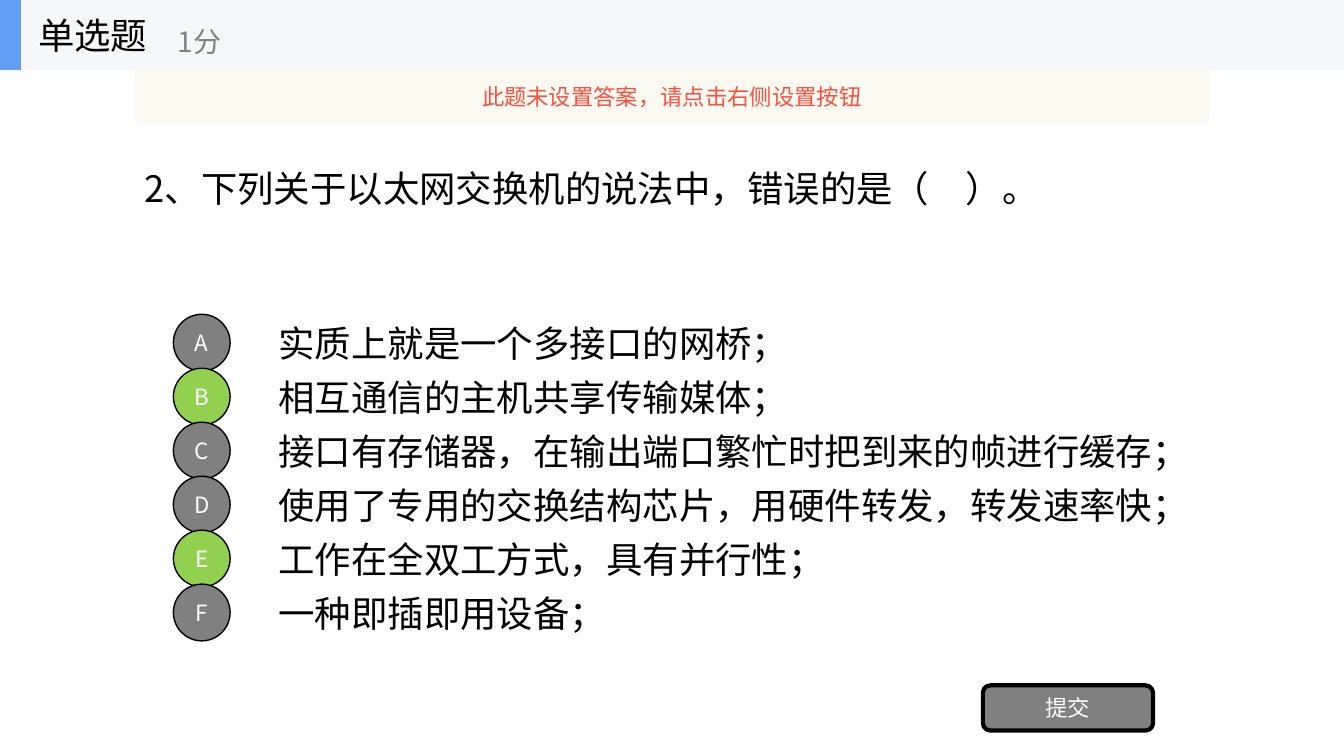
"""Build a quiz slide with six lettered options and a submit button."""
from dataclasses import dataclass

from lxml import etree
from pptx import Presentation
from pptx import util as u
from pptx.dml import color
from pptx.enum import shapes, text
from pptx.oxml import ns

KIND = shapes.MSO_SHAPE
LEFT, MID = text.PP_ALIGN.LEFT, text.PP_ALIGN.CENTER


@dataclass(frozen=True)
class Theme:
    """Colours, font and type sizes of the deck."""
    face: str = "Noto Sans CJK SC"
    ink: str = "000000"
    grey: str = "808080"
    green: str = "92D050"
    white: str = "FFFFFF"
    band: str = "F6F7F8"
    blue: str = "639EF4"
    cream: str = "FBFAEF"
    red: str = "F84F41"
    big: int = 26
    mid: int = 20
    small: int = 16


class Quiz:
    """Hold the theme and the current slide, and draw on it."""

    def __init__(self, deck, theme):
        """Add a blank slide to the deck."""
        self.theme = theme
        self.slide = deck.slides.add_slide(deck.slide_layouts[6])
        self.layer = self.slide.shapes

    def group(self):
        """Send the next items to a new group."""
        self.layer = self.slide.shapes.add_group_shape().shapes

    def ungroup(self):
        """Send the next items to the slide itself."""
        self.layer = self.slide.shapes

    def letter(self, item, words, size, tone, align):
        """Put one line of styled text in an item."""
        frame = item.text_frame
        style = {"word_wrap": True, "vertical_anchor": text.MSO_ANCHOR.MIDDLE}
        for key, value in style.items():
            setattr(frame, key, value)
        para = frame.paragraphs[0]
        para.alignment = align
        run = para.add_run()
        run.text = words
        for key, value in {"size": u.Pt(size), "name": self.theme.face}.items():
            setattr(run.font, key, value)
        run.font.color.rgb = color.RGBColor.from_string(tone)
        east = etree.SubElement(run.font._element, ns.qn("a:ea"))
        east.set("typeface", self.theme.face)

    def label(self, box, words, size, tone):
        """Add a plain text box."""
        item = self.layer.add_textbox(*map(u.Cm, box))
        self.letter(item, words, size, tone, LEFT)

    def shape(self, kind, box, fill, words="", tone=None, edge=0, alpha=None):
        """Add a filled shape, with an outline and centred text if given."""
        item = self.layer.add_shape(kind, *map(u.Cm, box))
        item.shadow.inherit = False
        item.fill.solid()
        item.fill.fore_color.rgb = color.RGBColor.from_string(fill)
        if alpha:
            tint = item._element.spPr.find(".//" + ns.qn("a:srgbClr"))
            etree.SubElement(tint, ns.qn("a:alpha")).set("val", str(alpha * 1000))
        if edge:
            item.line.width = u.Pt(edge)
            item.line.color.rgb = color.RGBColor.from_string(self.theme.ink)
        else:
            item.line.fill.background()
        if words:
            for side in ("margin_left", "margin_right"):
                setattr(item.text_frame, side, 0)
            self.letter(item, words, self.theme.small, tone, MID)

    def option(self, row, mark, words, fill):
        """Add one answer line with its lettered disc."""
        drop = 1.36 * row
        self.label((6.77, 7.75 + drop, 23.71, 1.78), words,
                   self.theme.big, self.theme.ink)
        self.shape(KIND.OVAL, (4.37, 7.92 + drop, 1.43, 1.43), fill,
                   mark, self.theme.white, 1)


OPTIONS = {
    "A": "实质上就是一个多接口的网桥；",
    "B": "相互通信的主机共享传输媒体；",
    "C": "接口有存储器，在输出端口繁忙时把到来的帧进行缓存；",
    "D": "使用了专用的交换结构芯片，用硬件转发，转发速率快；",
    "E": "工作在全双工方式，具有并行性；",
    "F": "一种即插即用设备；",
}
CHOSEN = "BE"


def main():
    """Build and save the deck."""
    deck = Presentation()
    wide, head = 33.87, 1.76
    size = {"slide_width": u.Cm(wide), "slide_height": u.Cm(19.05)}
    for key, value in size.items():
        setattr(deck, key, value)
    look = Theme()
    quiz = Quiz(deck, look)

    quiz.label((3.39, head, 27.09, 5.94),
               "2、下列关于以太网交换机的说法中，错误的是（　）。", look.big, look.ink)
    for row, (mark, words) in enumerate(OPTIONS.items()):
        fill = look.green if mark in CHOSEN else look.grey
        quiz.option(row, mark, words, fill)
    quiz.shape(KIND.ROUNDED_RECTANGLE, (24.77, 17.27, 4.29, 1.14), look.grey,
               "提交", look.white, 3)

    quiz.group()
    quiz.shape(KIND.RECTANGLE, (0, 0, wide, head), look.band)
    quiz.shape(KIND.RECTANGLE, (0, 0, 0.53, head), look.blue)
    quiz.label((0.71, 0, 5.28, head), "单选题", look.big, look.ink)
    quiz.label((4.23, 0.32, 6.35, 1.42), "1分", look.mid, look.grey)
    quiz.ungroup()

    quiz.shape(KIND.RECTANGLE, (3.39, head, 27.09, 1.35), look.cream,
               "此题未设置答案，请点击右侧设置按钮", look.red, alpha=90)
    deck.save("out.pptx")


if __name__ == "__main__":
    main()
